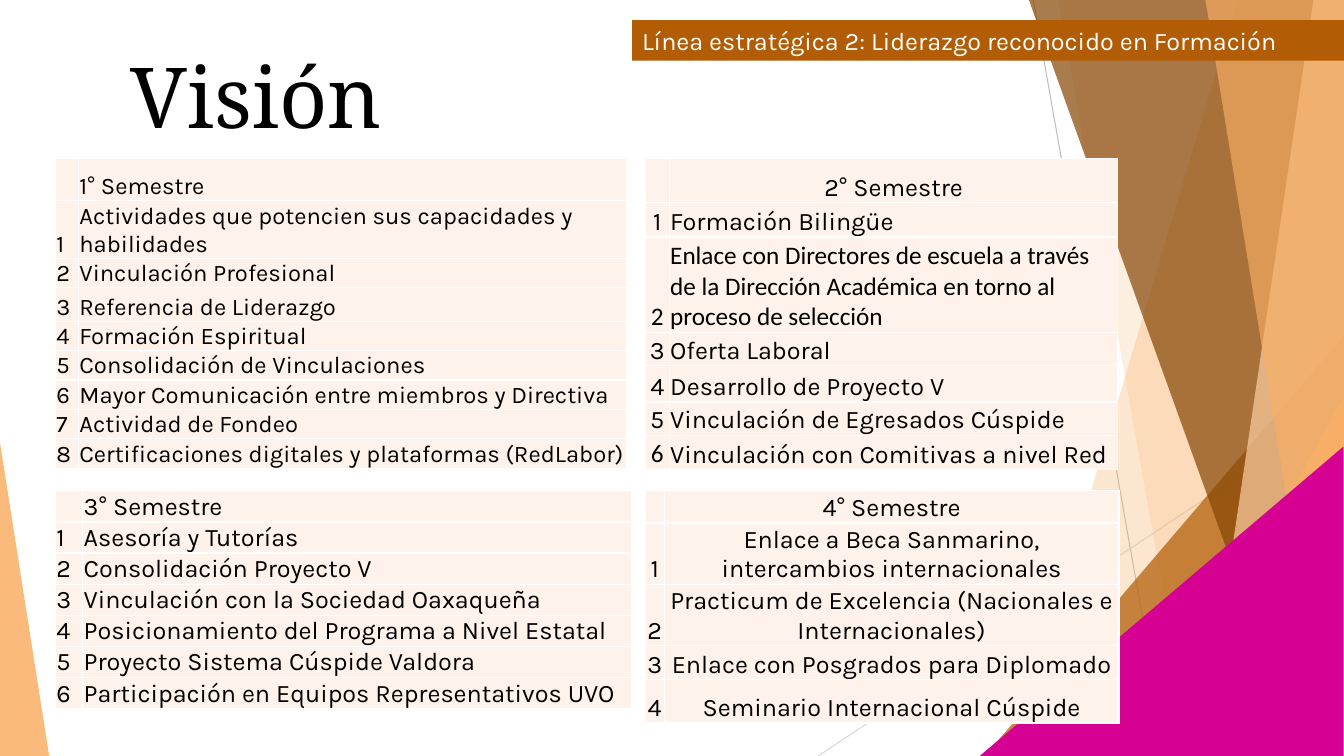
from lxml.etree import SubElement
from pptx import Presentation
from pptx.dml.color import RGBColor
from pptx.enum.shapes import MSO_CONNECTOR as Connector, MSO_SHAPE as Preset
from pptx.enum.text import MSO_ANCHOR as Anchor, PP_ALIGN as Align
from pptx.oxml import parse_xml
from pptx.oxml.ns import nsdecls, qn
from pptx.util import Cm, Pt

COLORS = {
    "white": "FFFFFF", "black": "000000", "cell": "FEF2EA",
    "orange": "F9AF65", "peach": "FBCFA3", "rust": "B25C05",
    "brown": "854504", "magenta": "D60093",
    "gray": "BFBFBF", "light_gray": "D9D9D9",
}
WIDTH, HEIGHT = 33.87, 19.05
LEFT_X, RIGHT_X = 1.4, 16.26
UPPER_Y, LOWER_Y = 3.99, 12.37


def rgb(name):
    return RGBColor.from_string(COLORS[name])


def write(frame, text, size=18, font="Karla", color="black", align=Align.LEFT):
    para = frame.paragraphs[0]
    para.alignment = align
    span = para.add_run()
    span.text = text
    span.font.size = Pt(size)
    span.font.name = font
    span.font.color.rgb = rgb(color)


def paint(shape, color, opacity=100):
    shape.shadow.inherit = False
    shape.line.fill.background()
    shape.fill.solid()
    shape.fill.fore_color.rgb = rgb(color)
    if opacity < 100:
        tint = shape.fill._xPr.find(qn("a:solidFill"))[0]
        SubElement(tint, qn("a:alpha"), val=str(opacity * 1000))


def add_preset(page, preset, box, color, opacity=100, apex=None, rotation=0):
    shape = page.shapes.add_shape(preset, *map(Cm, box))
    shape.rotation = rotation
    if apex is not None:
        shape.adjustments[0] = apex
    paint(shape, color, opacity)
    return shape


def add_facet(page, top_x, bottom_x, color, opacity):
    outline = page.shapes.build_freeform(Cm(top_x), Cm(0))
    corners = [(WIDTH, 0), (WIDTH, HEIGHT), (bottom_x, HEIGHT)]
    outline.add_line_segments([(Cm(x), Cm(y)) for x, y in corners], close=True)
    paint(outline.convert_to_shape(), color, opacity)


def add_line(page, ends, color):
    line = page.shapes.add_connector(Connector.STRAIGHT, *map(Cm, ends))
    line.line.color.rgb = rgb(color)
    line.line.width = Pt(0.75)
    SubElement(line._element.spPr, qn("a:effectLst"))


def style_cell(cell):
    cell.margin_left = cell.margin_right = cell.margin_top = Cm(0.02)
    cell.margin_bottom = 0
    cell.vertical_anchor = Anchor.BOTTOM
    properties = cell._tc.get_or_add_tcPr()
    for side in ("lnL", "lnR", "lnT", "lnB"):
        properties.append(parse_xml(
            f'<a:{side} {nsdecls("a")} w="12700"><a:solidFill>'
            f'<a:srgbClr val="{COLORS["white"]}"/></a:solidFill></a:{side}>'))
    cell.fill.solid()
    cell.fill.fore_color.rgb = rgb("cell")


def add_semester(page, number, items, left, top, columns, heights, size=18,
                 aligns=(Align.LEFT, Align.LEFT, Align.LEFT), calibri=()):
    header_align, index_align, item_align = aligns
    table = page.shapes.add_table(
        len(heights), 2, Cm(left), Cm(top), Cm(sum(columns)), Cm(sum(heights))).table
    table.first_row = table.horz_banding = False
    for column, width in zip(table.columns, columns):
        column.width = Cm(width)
    for row, height in zip(table.rows, heights):
        row.height = Cm(height)
    for cell in table.iter_cells():
        style_cell(cell)
    write(table.cell(0, 1).text_frame, f"{number}° Semestre", size, align=header_align)
    for index, item in enumerate(items, 1):
        pair = ((str(index), index_align), (item, item_align))
        for column, (text, align) in enumerate(pair):
            font = "Calibri" if (index, column) in calibri else "Karla"
            write(table.cell(index, column).text_frame, text, size, font, align=align)


def add_backdrop(page):
    add_line(page, (26.04, 0, 29.41, HEIGHT), "gray")
    add_line(page, (WIDTH, 10.24, 20.62, HEIGHT), "light_gray")
    add_facet(page, 31.19, 25.5, "orange", 30)
    add_facet(page, 26.67, 30.05, "orange", 20)
    add_preset(page, Preset.ISOSCELES_TRIANGLE, (24.82, 8.46, 9.05, 10.59), "rust", 72, apex=1)
    add_facet(page, 25.93, 32.79, "brown", 70)
    add_facet(page, 33.1, 30.28, "peach", 70)
    add_facet(page, 30.38, 33.48, "orange", 65)
    add_preset(page, Preset.ISOSCELES_TRIANGLE, (28.82, 9.98, 5.05, 9.07), "orange", 80, apex=1)
    add_preset(page, Preset.ISOSCELES_TRIANGLE, (0, 11.15, 1.24, 7.9), "orange", 85, apex=0)
    add_preset(page, Preset.RIGHT_TRIANGLE, (25.37, 10.57, 7.8, 9.17), "magenta", rotation=270)


def add_title(page, text):
    box = page.shapes.add_textbox(Cm(3.05), Cm(0.79), Cm(27.94), Cm(3.18))
    box.text_frame.word_wrap = True
    box.text_frame.vertical_anchor = Anchor.MIDDLE
    write(box.text_frame, text, 60, "Noto Serif")


def add_banner(page, text):
    banner = add_preset(page, Preset.RECTANGLE, (15.93, 0.51, 17.94, 1.02), "rust")
    banner.text_frame.word_wrap = True
    write(banner.text_frame, text, color="white")


def main():
    deck = Presentation()
    deck.slide_width, deck.slide_height = Cm(WIDTH), Cm(HEIGHT)
    page = deck.slides.add_slide(deck.slide_layouts[6])
    add_backdrop(page)
    add_title(page, "Visión")
    add_semester(page, 1, [
        "Actividades que potencien sus capacidades y habilidades",
        "Vinculación Profesional",
        "Referencia de Liderazgo",
        "Formación Espiritual",
        "Consolidación de Vinculaciones",
        "Mayor Comunicación entre miembros y Directiva",
        "Actividad de Fondeo",
        "Certificaciones digitales y plataformas (RedLabor)",
    ], LEFT_X, UPPER_Y, (0.58, 13.82), [1.06, 1.44, 0.73, 0.84] + [0.73] * 5, size=17)
    add_semester(page, 2, [
        "Formación Bilingüe",
        "Enlace con Directores de escuela a través de la Dirección Académica "
        "en torno al proceso de selección",
        "Oferta Laboral",
        "Desarrollo de Proyecto V",
        "Vinculación de Egresados Cúspide",
        "Vinculación con Comitivas a nivel Red",
    ], RIGHT_X, UPPER_Y, (0.61, 11.3), [1.12, 0.86, 2.41, 0.84, 0.91, 0.84, 0.86],
        aligns=(Align.CENTER, Align.CENTER, Align.LEFT), calibri={(2, 0), (2, 1), (6, 0)})
    add_semester(page, 3, [
        "Asesoría y Tutorías",
        "Consolidación Proyecto V",
        "Vinculación con la Sociedad Oaxaqueña",
        "Posicionamiento del Programa a Nivel Estatal",
        "Proyecto Sistema Cúspide Valdora",
        "Participación en Equipos Representativos UVO",
    ], LEFT_X, LOWER_Y, (0.69, 13.82), [0.78] * 7)
    add_semester(page, 4, [
        "Enlace a Beca Sanmarino, intercambios internacionales",
        "Practicum de Excelencia (Nacionales e Internacionales)",
        "Enlace con Posgrados para Diplomado",
        "Seminario Internacional Cúspide",
    ], RIGHT_X, LOWER_Y, (0.48, 11.46), [0.81, 1.52, 1.52, 0.86, 1.09],
        aligns=(Align.CENTER,) * 3)
    add_banner(page, "Línea estratégica 2: Liderazgo reconocido en Formación")
    deck.save("out.pptx")


main()
